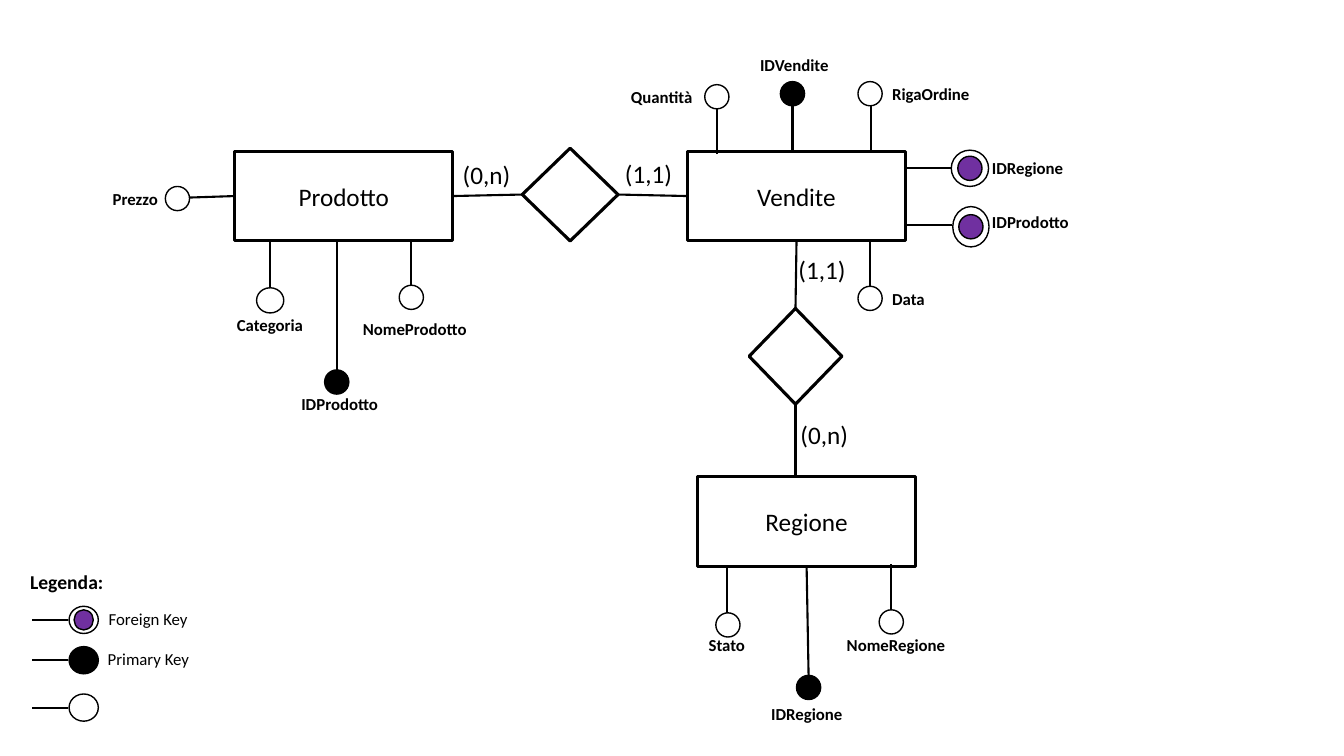
from collections import namedtuple
from lxml import etree
from pptx import Presentation, util as u
from pptx.dml.color import RGBColor
from pptx.enum import shapes, text
from pptx.oxml.ns import qn

PX = 9144  # EMU; 100 px to the inch
SLIDE = (1333, 750)
TOP, LEFT, BOTTOM, RIGHT = range(4)


class Theme:
    font = "Calibri"
    black = RGBColor(0, 0, 0)
    white = RGBColor(255, 255, 255)
    purple = RGBColor(112, 48, 160)
    outline, stick, ring = 2.25, 1.5, 1
    small, legend, large = 12, 14, 18


ENTITY_SIZE = (216, 89)
ENTITIES = {"Prodotto": (233, 150), "Vendite": (682, 150), "Regione": (692, 473)}
DIAMONDS = {"Prodotto-Vendite": (518, 147, 95, 92), "Vendite-Regione": (743, 306, 92, 95)}

# (node, side) or a plain point at each end
LINKS = [
    (("Prodotto", RIGHT), ("Prodotto-Vendite", LEFT)),
    (("Prodotto-Vendite", RIGHT), ("Vendite", LEFT)),
    (("Vendite", BOTTOM), ("Vendite-Regione", TOP)),
    (("Vendite-Regione", BOTTOM), (789, 471)),
]
CARDINALITIES = [("(0,n)", 449, 153), ("(1,1)", 610, 152), ("(1,1)", 782, 247), ("(0,n)", 784, 411)]

# start: point or (node, side); label: (left, top, width)
Attribute = namedtuple("Attribute", "name label start end centre key size", defaults=["plain", (24, 24)])
ATTRIBUTES = [
    Attribute("Prezzo", (102, 182, 100), ("Prodotto", LEFT), (188, 196), (176, 197)),
    Attribute("Categoria", (225, 307, 141), (268, 239), (268, 286), (268, 298), "plain", (27, 25)),
    Attribute("IDProdotto", (289, 386, 170), (334, 238), (334, 370), (334, 379), "primary"),
    Attribute("NomeProdotto", (350, 311, 125), (408, 238), (408, 283), (408, 295)),
    Attribute("Quantità", (616, 81, 224), (711, 153), (711, 108), (711, 96)),
    Attribute("IDVendite", (744, 49, 237), (786, 150), (786, 105), (786, 93), "primary"),
    Attribute("RigaOrdine", (875, 78, 99), (864, 150), (864, 105), (863, 93)),
    Attribute("IDRegione", (974, 152, 93), (899, 167), (944, 167), (962, 167), "foreign", (37, 36)),
    Attribute("IDProdotto", (974, 205, 99), (899, 223), (944, 223), (963, 225), "foreign", (36, 40)),
    Attribute("Data", (875, 282, 170), (863, 239), (863, 284), (863, 296)),
    Attribute("Stato", (693, 625, 58), (721, 563), (721, 608), (722, 620)),
    Attribute("IDRegione", (755, 693, 170), ("Regione", BOTTOM), (802, 670), (802, 682), "primary"),
    Attribute("NomeRegione", (830, 625, 120), (884, 560), (884, 605), (884, 617)),
]

LEGEND_TITLE = ("Legenda:", 20, 560, 94)
LEGEND = [("Foreign Key", 98, 615, "foreign"), ("Primary Key", 97, 655, "primary"), ("", 0, 702, "plain")]
LEGEND_STICK, LEGEND_CENTRE, LEGEND_RING = (32, 67), 83, (29, 27)
DOT, LEGEND_DOT = (24, 24), (19, 20)

deck = Presentation()
deck.slide_width, deck.slide_height = (side * PX for side in SLIDE)
page = deck.slides.add_slide(deck.slide_layouts[6])
nodes = {}


def add_preset(kind, left, top, width, height, fill=None, weight=Theme.outline):
    box = page.shapes.add_shape(kind, *(round(n * PX) for n in (left, top, width, height)))
    box.shadow.inherit = False
    if fill is None:
        box.fill.background()
    else:
        box.fill.solid()
        box.fill.fore_color.rgb = fill
    box.line.color.rgb = Theme.black
    box.line.width = u.Pt(weight)
    return box


def write(box, words, size, bold=False):
    para = box.text_frame.paragraphs[0]
    para.text = words
    para.font.name, para.font.size, para.font.bold = Theme.font, u.Pt(size), bold
    para.font.color.rgb = Theme.black
    return para


def add_label(words, left, top, width, height, size, bold=False):
    box = page.shapes.add_textbox(left * PX, top * PX, width * PX, height * PX)
    box.text_frame.word_wrap = True
    box.text_frame.auto_size = text.MSO_AUTO_SIZE.SHAPE_TO_FIT_TEXT
    write(box, words, size, bold)


def add_line(start, end):
    """Draw a line whose ends are points or (node name, side) joints."""
    joints = [isinstance(tip[0], str) for tip in (start, end)]
    points = [(0, 0) if joint else tip for joint, tip in zip(joints, (start, end))]
    line = page.shapes.add_connector(
        shapes.MSO_CONNECTOR.STRAIGHT, *(n * PX for point in points for n in point))
    for joint, tip, connect in zip(joints, (start, end), (line.begin_connect, line.end_connect)):
        if joint:
            connect(nodes[tip[0]], tip[1])
    line.line.color.rgb = Theme.black
    line.line.width = u.Pt(Theme.stick)
    etree.SubElement(line._element.spPr, qn("a:effectLst"))


def add_circle(centre, size, fill):
    (x, y), (width, height) = centre, size
    add_preset(shapes.MSO_SHAPE.OVAL, x - width / 2, y - height / 2, width, height, fill, Theme.ring)


def add_key(start, end, centre, size, key, dot=DOT):
    """Draw a stick with the circle that shows the kind of key."""
    add_line(start, end)
    add_circle(centre, size, Theme.black if key == "primary" else Theme.white)
    if key == "foreign":
        add_circle(centre, dot, Theme.purple)


for name, corner in ENTITIES.items():
    nodes[name] = add_preset(shapes.MSO_SHAPE.RECTANGLE, *corner, *ENTITY_SIZE)
    nodes[name].text_frame.vertical_anchor = text.MSO_ANCHOR.MIDDLE
    write(nodes[name], name, Theme.large).alignment = text.PP_ALIGN.CENTER
for name, frame in DIAMONDS.items():
    nodes[name] = add_preset(shapes.MSO_SHAPE.DIAMOND, *frame)
for start, end in LINKS:
    add_line(start, end)
for words, left, top in CARDINALITIES:
    add_label(words, left, top, 92, 40, Theme.large)

for item in ATTRIBUTES:
    add_key(item.start, item.end, item.centre, item.size, item.key)
    add_label(item.name, *item.label, 30, Theme.small, bold=True)

add_label(*LEGEND_TITLE, 34, Theme.legend, bold=True)
for words, left, y, key in LEGEND:
    first, last = LEGEND_STICK
    add_key((first, y), (last, y), (LEGEND_CENTRE, y), LEGEND_RING, key, LEGEND_DOT)
    if words:
        add_label(words, left, y - 16, 103, 30, Theme.small)

deck.save("out.pptx")
